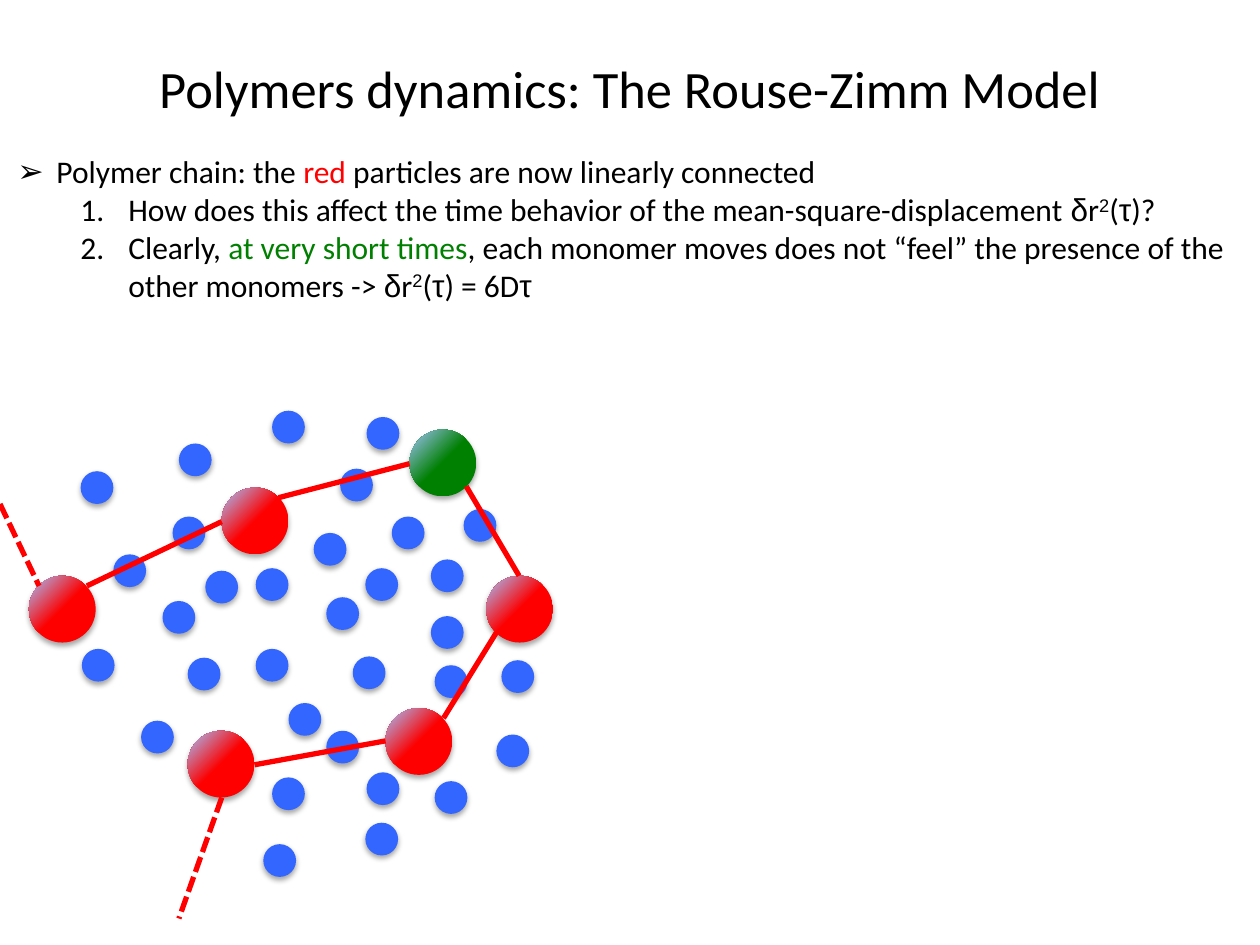
from lxml import etree
from pptx import Presentation
from pptx import util as u
from pptx.dml.color import RGBColor
from pptx.enum import dml, shapes, text
from pptx.oxml import parse_xml
from pptx.oxml.ns import nsdecls, qn

COLORS = {"text": "000000", "red": "FF0000", "green": "008000",
          "solvent": "3366FF", "sheen": "A4C4FF"}
MONOMER, SOLVENT = 0.53, 0.26

MSD = [("δ", "greek"), ("r", "body"), ("2", "super"), ("(", "body"), ("τ", "greek")]
STYLES = {
    "body": {"name": "Calibri", "size": u.Pt(18)},
    "greek": {"name": "Arial", "size": u.Pt(18)},
    "super": {"name": "Arial", "size": u.Pt(18)},
    "title": {"name": "Calibri", "size": u.Pt(30)},
}
BULLET = {"level": 0, "left": 0.31, "hang": 0.31, "tag": "buChar",
          "attrs": {"char": "➢"}}
NUMBER = {"level": 1, "left": 0.88, "hang": 0.38, "tag": "buAutoNum",
          "attrs": {"type": "arabicPeriod"}}
PARAGRAPHS = [
    (BULLET, [("Polymer chain: the ", "body"), ("red", "body", "red"),
              (" particles are now linearly connected", "body")]),
    (NUMBER, [("How does this affect the time behavior of the "
               "mean-square-displacement ", "body"), *MSD, (")?", "body")]),
    (NUMBER, [("Clearly, ", "body"), ("at very short times", "body", "green"),
              (", each monomer moves does not “feel” the presence of the "
               "other monomers -> ", "body"), *MSD,
              (") = 6D", "body"), ("τ", "greek")]),
]
MONOMERS = [(1.76, 3.87, "red"), (1.49, 5.8, "red"), (3.86, 4.57, "red"),
            (3.06, 5.62, "red"), (0.23, 4.57, "red"), (3.25, 3.41, "green")]
SOLVENTS = [
    (2.03, 5.15), (2.9, 4.51), (1.49, 5.22), (3.42, 4.89), (2.16, 3.26),
    (0.64, 3.74), (1.12, 5.72), (2.09, 6.7), (2.8, 5.21), (2.59, 5.8),
    (3.98, 5.24), (2.9, 6.53), (3.45, 6.2), (2.03, 4.51), (2.7, 3.72),
    (1.29, 4.77), (3.68, 4.04), (1.42, 3.52), (0.9, 4.4), (0.65, 5.15),
    (2.16, 6.17), (2.59, 4.74), (2.29, 5.58), (3.45, 5.28), (2.91, 6.13),
    (3.94, 5.83), (3.11, 4.1), (2.91, 3.31), (1.63, 4.53), (1.37, 4.1),
    (2.49, 4.23), (3.42, 4.44),
]
BONDS = [(3.06, 5.88, 2.02, 6.07), (1.76, 4.14, 0.69, 4.65),
         (2.21, 3.95, 3.25, 3.68), (3.7, 3.86, 4.12, 4.57),
         (3.94, 5.02, 3.52, 5.7)]
OPEN_ENDS = [(0, 4, 0.31, 4.65), (1.76, 6.33, 1.42, 7.29)]


def rgb(name):
    """Return the named palette colour."""
    return RGBColor.from_string(COLORS[name])


def set_attrs(obj, values):
    """Set each attribute of obj from a dict."""
    for key, value in values.items():
        setattr(obj, key, value)


def add_run(p, wording, style, color="text"):
    """Append a styled run to a paragraph."""
    r = p.add_run()
    r.text = wording
    set_attrs(r.font, STYLES[style])
    r.font.color.rgb = rgb(color)
    if style == "super":
        r._r.get_or_add_rPr().set("baseline", "30000")


def add_list_marker(p, marker):
    """Give a paragraph its level, hanging indent and bullet or number."""
    p.level = marker["level"]
    pPr = p._p.get_or_add_pPr()
    pPr.set("marL", str(u.Inches(marker["left"])))
    pPr.set("indent", str(-u.Inches(marker["hang"])))
    font = "Arial" if marker["tag"] == "buChar" else "+mj-lt"
    etree.SubElement(pPr, qn("a:buFont"), typeface=font)
    etree.SubElement(pPr, qn("a:" + marker["tag"]), marker["attrs"])


def add_text_frame(s, left, top, width, height, **values):
    """Add a wrapping text box and return its text frame."""
    box = s.shapes.add_textbox(*map(u.Inches, (left, top, width, height)))
    tf = box.text_frame
    set_attrs(tf, {"word_wrap": True, **values})
    return tf


def add_title(s):
    """Add the centred slide title."""
    tf = add_text_frame(s, 0, 0.07, 10, 1.25,
                        vertical_anchor=text.MSO_ANCHOR.MIDDLE)
    p = tf.paragraphs[0]
    p.alignment = text.PP_ALIGN.CENTER
    add_run(p, "Polymers dynamics: The Rouse-Zimm Model", "title")


def add_body(s):
    """Add the bulleted and numbered text."""
    tf = add_text_frame(s, 0.04, 1.16, 9.93, 1.31,
                        auto_size=text.MSO_AUTO_SIZE.SHAPE_TO_FIT_TEXT)
    for i, (marker, runs) in enumerate(PARAGRAPHS):
        p = tf.add_paragraph() if i else tf.paragraphs[0]
        add_list_marker(p, marker)
        for run in runs:
            add_run(p, *run)


def add_particle(s, left, top, size):
    """Add a borderless circle with a soft shadow below it."""
    sp = s.shapes.add_shape(shapes.MSO_SHAPE.OVAL,
                            *map(u.Inches, (left, top, size, size)))
    sp.line.fill.background()
    sp.shadow.inherit = False
    effects = sp._element.spPr.find(qn("a:effectLst"))
    effects.append(parse_xml(
        f'<a:outerShdw {nsdecls("a")} blurRad="{u.Pt(3.1)}" dist="{u.Pt(1.8)}" '
        'dir="5400000" rotWithShape="0"><a:srgbClr val="000000">'
        '<a:alpha val="35000"/></a:srgbClr></a:outerShdw>'))
    return sp


def add_monomer(s, left, top, color):
    """Add a large particle with a sheen at its upper left."""
    fill = add_particle(s, left, top, MONOMER).fill
    fill.gradient()
    fill.gradient_angle = 135
    for stop, position, name in zip(fill.gradient_stops, (0.5, 1), (color, "sheen")):
        stop.position = position
        stop.color.rgb = rgb(name)


def add_solvent(s, left, top):
    """Add a small plain particle."""
    fill = add_particle(s, left, top, SOLVENT).fill
    fill.solid()
    fill.fore_color.rgb = rgb("solvent")


def add_bond(s, ends, dash=None):
    """Add a red line between two points."""
    c = s.shapes.add_connector(shapes.MSO_CONNECTOR.STRAIGHT, *map(u.Inches, ends))
    c.line.color.rgb = rgb("red")
    set_attrs(c.line, {"width": u.Pt(3), "dash_style": dash})
    etree.SubElement(c._element.spPr, qn("a:effectLst"))


def main():
    """Build and save the slide."""
    prs = Presentation()
    set_attrs(prs, {"slide_width": u.Inches(10), "slide_height": u.Inches(7.5)})
    s = prs.slides.add_slide(prs.slide_layouts[6])
    add_body(s)
    for monomer in MONOMERS:
        add_monomer(s, *monomer)
    for solvent in SOLVENTS:
        add_solvent(s, *solvent)
    for ends in BONDS:
        add_bond(s, ends)
    for ends in OPEN_ENDS:
        add_bond(s, ends, dml.MSO_LINE.SQUARE_DOT)
    add_title(s)
    prs.save("out.pptx")


if __name__ == "__main__":
    main()
